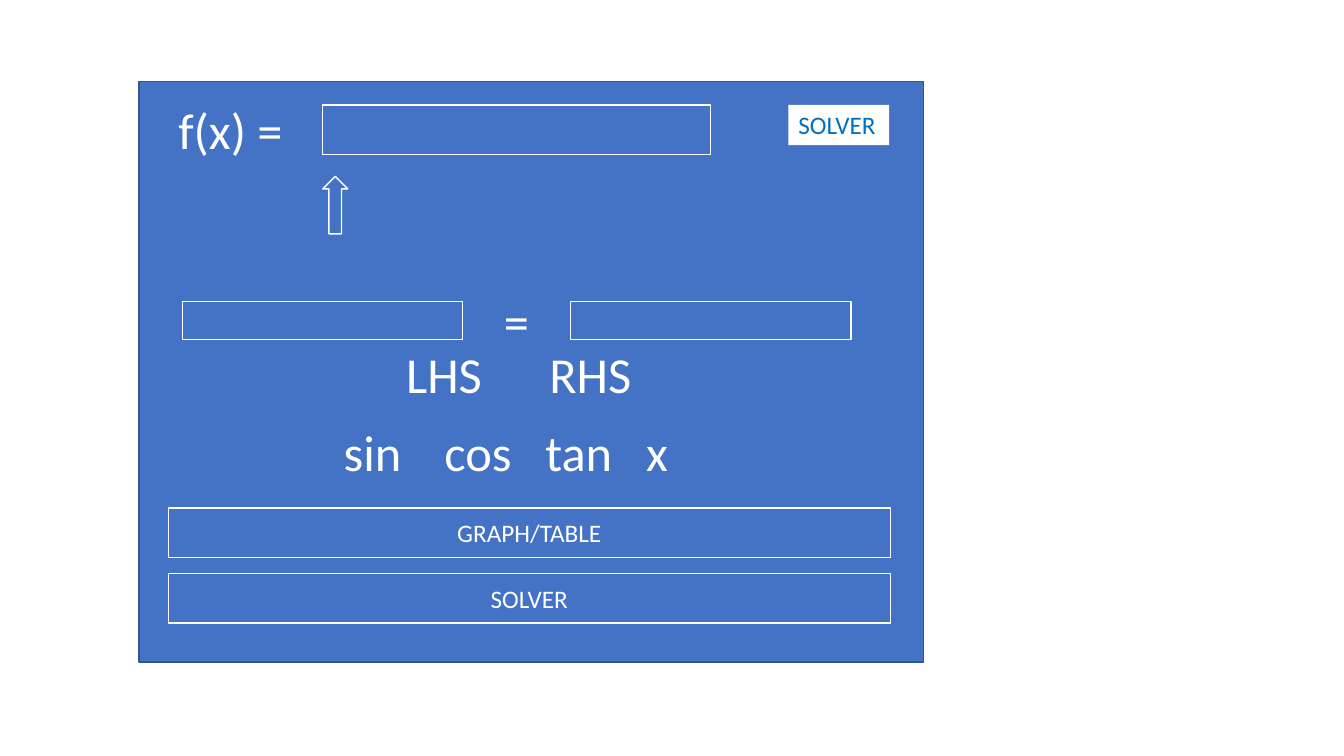
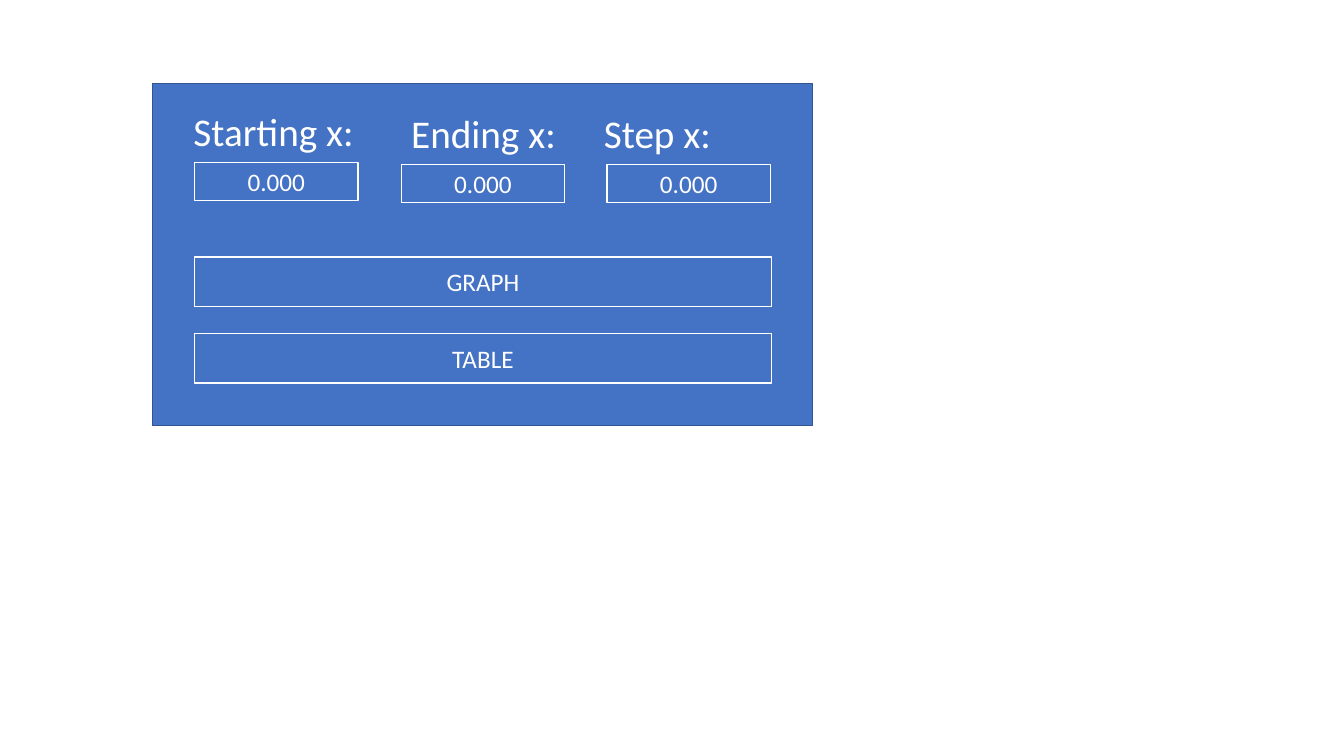
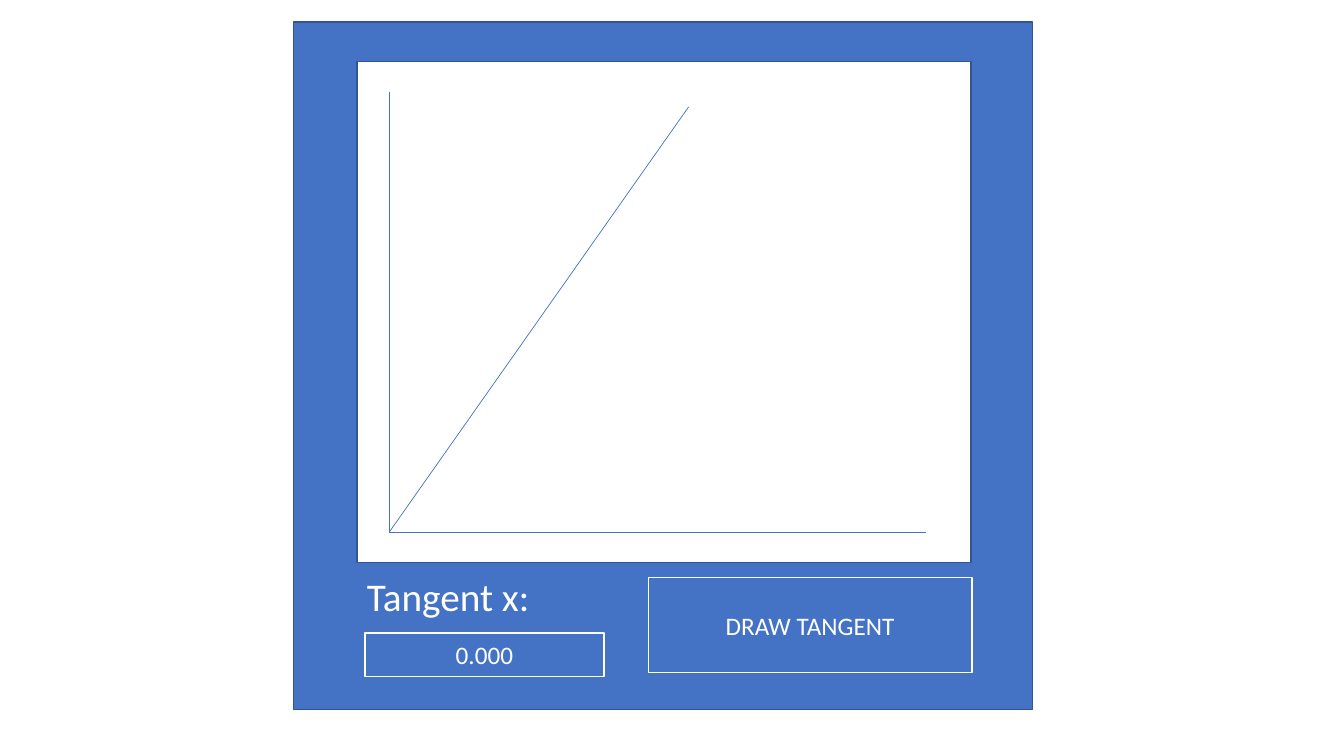
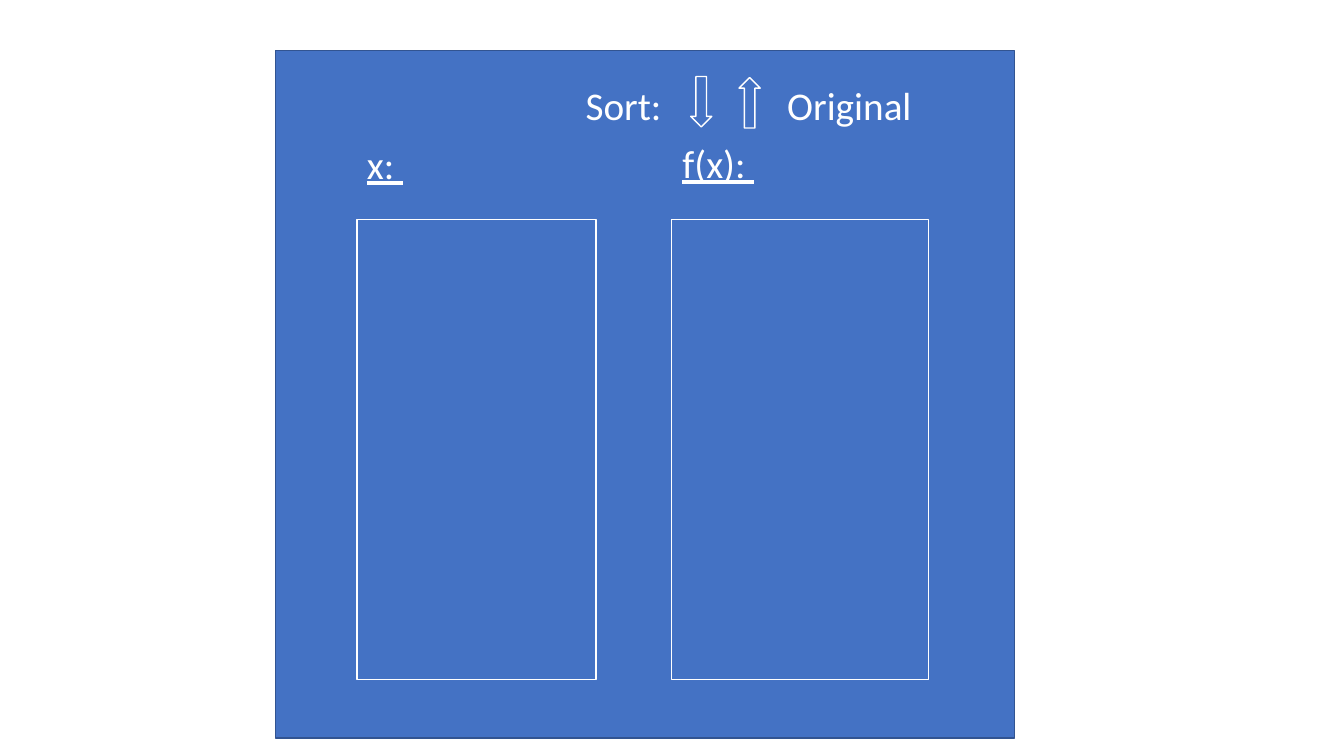
from typing import NamedTuple

from lxml import etree
from pptx import Presentation
from pptx.dml.color import RGBColor
from pptx.enum.shapes import MSO_CONNECTOR, MSO_SHAPE
from pptx.enum.text import MSO_ANCHOR, MSO_AUTO_SIZE, PP_ALIGN
from pptx.oxml.ns import qn
from pptx.slide import Slide
from pptx.text.text import TextFrame
from pptx.util import Inches, Pt

BLUE = RGBColor(0x44, 0x72, 0xC4)
NAVY = RGBColor(0x32, 0x54, 0x91)
LINK_BLUE = RGBColor(0x00, 0x70, 0xC0)
WHITE = RGBColor(0xFF, 0xFF, 0xFF)

RECTANGLE = MSO_SHAPE.RECTANGLE
UP_ARROW = MSO_SHAPE.UP_ARROW
DOWN_ARROW = MSO_SHAPE.DOWN_ARROW
STRAIGHT = MSO_CONNECTOR.STRAIGHT
CENTER = PP_ALIGN.CENTER
LEFT = PP_ALIGN.LEFT
MIDDLE = MSO_ANCHOR.MIDDLE
FIT_SHAPE = MSO_AUTO_SIZE.SHAPE_TO_FIT_TEXT

FONT = "Calibri"
BODY_SIZE = 18
LABEL_SIZE = 28
LARGE_SIZE = 36
TAB_STOPS = (1, 2, 3)


class Area(NamedTuple):
    left: float
    top: float
    width: float
    height: float


class Box(NamedTuple):
    area: Area
    text: str = ""
    kind: MSO_SHAPE = RECTANGLE
    fill: RGBColor | None = None
    line: RGBColor = WHITE


class Label(NamedTuple):
    area: Area
    text: str
    size: int = LABEL_SIZE
    color: RGBColor = WHITE
    fill: RGBColor | None = None
    underline: bool = False


class Segment(NamedTuple):
    start: tuple[float, float]
    end: tuple[float, float]


def to_inches(values: tuple[float, ...]) -> list[int]:
    return [Inches(value) for value in values]


def write_text(frame: TextFrame, text: str, size: int, color: RGBColor,
               alignment: PP_ALIGN, underline: bool = False) -> None:
    frame.word_wrap = True
    para = frame.paragraphs[0]
    para.text = text
    para.alignment = alignment
    para.font.name = FONT
    para.font.size = Pt(size)
    para.font.color.rgb = color
    if underline:
        para.runs[0].font.underline = True
    if "\t" in text:
        tab_list = etree.Element(qn("a:tabLst"))
        for stop in TAB_STOPS:
            etree.SubElement(tab_list, qn("a:tab"), pos=str(Inches(stop)), algn="l")
        para._p.get_or_add_pPr().insert(0, tab_list)


def draw_box(page: Slide, box: Box) -> None:
    shape = page.shapes.add_shape(box.kind, *to_inches(box.area))
    shape.shadow.inherit = False
    if box.fill is None:
        shape.fill.background()
    else:
        shape.fill.solid()
        shape.fill.fore_color.rgb = box.fill
    shape.line.color.rgb = box.line
    shape.line.width = Pt(1)
    if box.text:
        shape.text_frame.vertical_anchor = MIDDLE
        write_text(shape.text_frame, box.text, BODY_SIZE, WHITE, CENTER)


def draw_panel(page: Slide, area: Area, fill: RGBColor = BLUE) -> None:
    draw_box(page, Box(area, fill=fill, line=NAVY))


def draw_label(page: Slide, label: Label) -> None:
    shape = page.shapes.add_textbox(*to_inches(label.area))
    if label.fill is not None:
        shape.fill.solid()
        shape.fill.fore_color.rgb = label.fill
    write_text(shape.text_frame, label.text, label.size, label.color, LEFT, label.underline)
    shape.text_frame.auto_size = FIT_SHAPE


def draw_segment(page: Slide, segment: Segment) -> None:
    connector = page.shapes.add_connector(
        STRAIGHT, *to_inches(segment.start + segment.end))
    connector.line.color.rgb = BLUE
    connector.line.width = Pt(0.5)
    etree.SubElement(connector._element.spPr, qn("a:effectLst"))


def draw_all(page: Slide, items: list[Box | Label | Segment]) -> None:
    for item in items:
        if isinstance(item, Box):
            draw_box(page, item)
        elif isinstance(item, Label):
            draw_label(page, item)
        else:
            draw_segment(page, item)


def build_function_entry(page: Slide) -> None:
    draw_panel(page, Area(1.38, 0.81, 7.78, 5.76))
    draw_all(page, [
        Label(Area(1.67, 0.93, 1.33, 0.71), "f(x) =", LARGE_SIZE),
        Box(Area(3.2, 1.75, 0.25, 0.57), kind=UP_ARROW),
        Box(Area(3.2, 1.04, 3.85, 0.49)),
        Label(Area(7.82, 1.04, 1, 0.4), "SOLVER", BODY_SIZE, LINK_BLUE, WHITE),
        Label(Area(4.9, 2.83, 0.45, 0.71), "=", LARGE_SIZE),
        Label(Area(3.93, 3.35, 0.97, 0.71), "LHS", LARGE_SIZE),
        Label(Area(5.35, 3.35, 1.05, 0.71), "RHS", LARGE_SIZE),
        Label(Area(3.31, 4.13, 3.62, 0.71), "sin \tcos \ttan \tx", LARGE_SIZE),
    ])
    for left in (1.81, 5.66):
        draw_box(page, Box(Area(left, 2.99, 2.78, 0.38)))
    for top, caption in ((5.04, "GRAPH/TABLE"), (5.69, "SOLVER")):
        draw_box(page, Box(Area(1.67, top, 7.16, 0.49), caption))


def build_range_entry(page: Slide) -> None:
    draw_panel(page, Area(1.51, 0.83, 6.55, 3.39))
    fields = (
        ("Starting x:", 1.82, 1.93, 1.02),
        ("Ending x:", 3.98, 3.98, 1.04),
        ("Step x:", 5.89, 6.02, 1.04),
    )
    for caption, label_left, box_left, top in fields:
        draw_label(page, Label(Area(label_left, top, 1.91, 0.57), caption))
        draw_box(page, Box(Area(box_left, top + 0.59, 1.62, 0.38), "0.000"))
    for top, caption in ((2.55, "GRAPH"), (3.31, "TABLE")):
        draw_box(page, Box(Area(1.93, top, 5.72, 0.49), caption))


def build_graph(page: Slide) -> None:
    draw_panel(page, Area(2.91, 0.22, 7.33, 6.82))
    draw_panel(page, Area(3.54, 0.61, 6.09, 4.97), WHITE)
    origin = (3.86, 5.28)
    for start in ((3.86, 0.91), (9.18, 5.28), (6.83, 1.06)):
        draw_segment(page, Segment(start, origin))
    draw_all(page, [
        Box(Area(6.43, 5.73, 3.21, 0.94), "DRAW TANGENT"),
        Label(Area(3.54, 5.63, 1.91, 0.57), "Tangent x:"),
        Box(Area(3.62, 6.28, 2.37, 0.43), "0.000"),
    ])


def build_value_table(page: Slide) -> None:
    draw_panel(page, Area(2.73, 0.5, 7.33, 6.82))
    draw_all(page, [
        Label(Area(3.54, 1.34, 1.91, 0.57), "x: ", underline=True),
        Label(Area(6.67, 1.33, 1.91, 0.57), "f(x): ", underline=True),
        Label(Area(5.71, 0.76, 4.66, 0.57), "Sort:\t\tOriginal"),
        Box(Area(6.85, 0.76, 0.21, 0.5), kind=DOWN_ARROW, fill=BLUE),
        Box(Area(7.33, 0.77, 0.21, 0.5), kind=UP_ARROW, fill=BLUE),
        Box(Area(3.54, 2.18, 2.37, 4.56)),
        Box(Area(6.66, 2.18, 2.55, 4.56)),
    ])


def main() -> None:
    deck = Presentation()
    deck.slide_width = Inches(13.33)
    deck.slide_height = Inches(7.5)
    blank_layout = deck.slide_layouts.get_by_name("Blank")
    for build in (build_function_entry, build_range_entry, build_graph, build_value_table):
        build(deck.slides.add_slide(blank_layout))
    deck.save("out.pptx")


if __name__ == "__main__":
    main()
